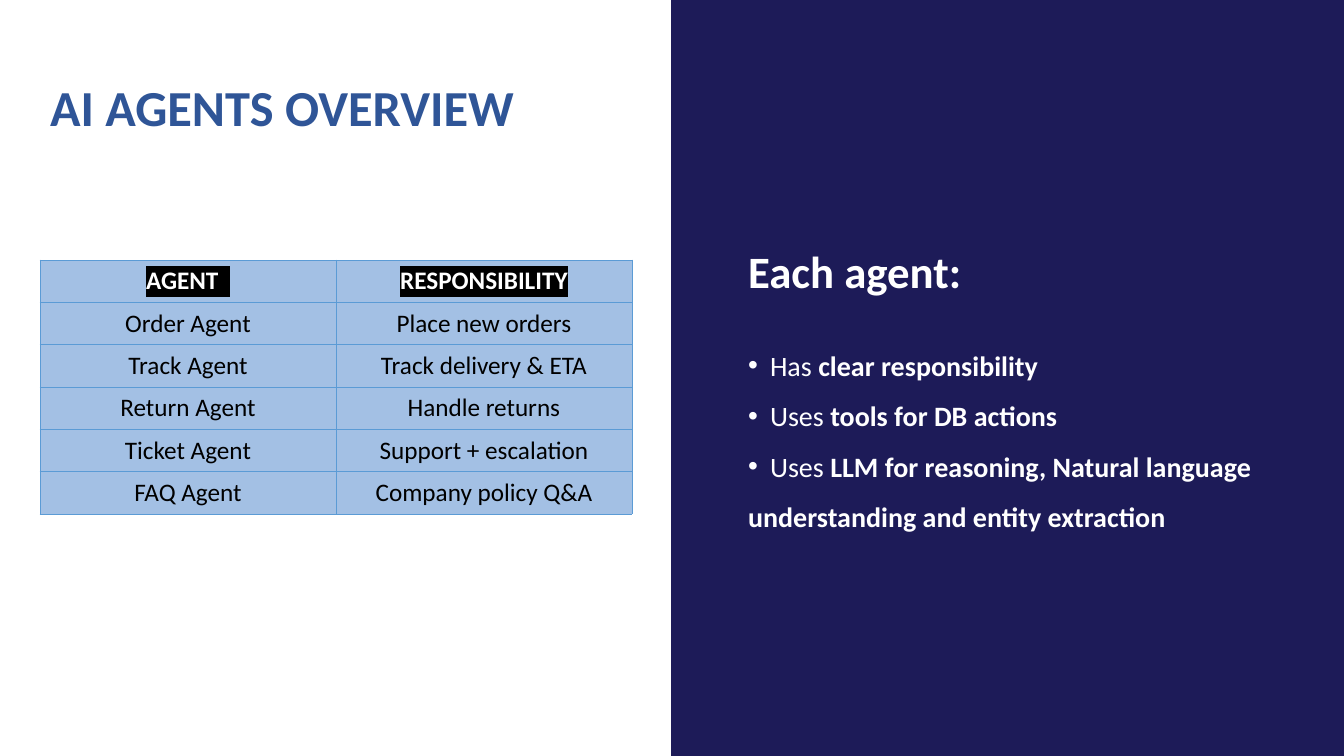
from dataclasses import dataclass

from pptx import Presentation
from pptx.dml.color import RGBColor
from pptx.enum.shapes import MSO_SHAPE
from pptx.enum.text import MSO_ANCHOR, MSO_AUTO_SIZE, PP_ALIGN
from pptx.oxml import parse_xml
from pptx.oxml.ns import nsdecls
from pptx.util import Emu, Pt


@dataclass(frozen=True)
class Theme:
    """Colours, font and type sizes of the slide."""

    font: str = "Calibri"
    title: str = "2F5597"
    panel: str = "1D1B58"
    cell: str = "A3C0E4"
    border: str = "5B9BD5"
    light: str = "FFFFFF"
    dark: str = "000000"
    title_size: int = 36
    heading_size: int = 32
    bullet_size: int = 20
    table_size: int = 18


THEME = Theme()
SLIDE_WIDTH, SLIDE_HEIGHT = 1344, 756
BULLET_GAP = 22

AGENTS = [
    ("AGENT  ", "RESPONSIBILITY"),
    ("Order Agent", "Place new orders"),
    ("Track Agent", "Track delivery & ETA"),
    ("Return Agent", "Handle returns"),
    ("Ticket Agent", "Support + escalation"),
    ("FAQ Agent", "Company policy Q&A"),
]
TRAITS = [
    ("Has ", "clear responsibility"),
    ("Uses ", "tools for DB actions"),
    ("Uses ", "LLM for reasoning, Natural language understanding and entity extraction"),
]


def px(length):
    """Turn a length in px into EMU."""
    return Emu(round(length * 914400 / 100.8))


def place(shape, left, top, width, height):
    """Move and size a shape in px."""
    shape.left, shape.top = px(left), px(top)
    shape.width, shape.height = px(width), px(height)


def style_run(run, size, color, bold=False):
    """Set the font of one run."""
    run.font.name = THEME.font
    run.font.size = Pt(size)
    run.font.bold = bold
    run.font.color.rgb = RGBColor.from_string(color)


def highlight(run, color):
    """Put a colour behind the text of a run."""
    mark = parse_xml(
        f'<a:highlight {nsdecls("a")}><a:srgbClr val="{color}"/></a:highlight>'
    )
    run.font.fill._xPr.find("{*}solidFill").addnext(mark)


def add_panel(slide, left, top, width, height):
    """Add the plain panel behind everything else."""
    panel = slide.shapes.add_shape(
        MSO_SHAPE.RECTANGLE, px(left), px(top), px(width), px(height)
    )
    panel.shadow.inherit = False
    panel.fill.solid()
    panel.fill.fore_color.rgb = RGBColor.from_string(THEME.panel)
    panel.line.color.rgb = RGBColor.from_string(THEME.panel)
    panel.line.width = Pt(1)
    slide.shapes._spTree.insert(2, panel._element)


def fill_title(title, text):
    """Write the slide title."""
    place(title, 40, 68, 1124, 84)
    frame = title.text_frame
    frame.text = text
    frame.auto_size = MSO_AUTO_SIZE.NONE
    frame.vertical_anchor = MSO_ANCHOR.MIDDLE
    paragraph = frame.paragraphs[0]
    paragraph.alignment = PP_ALIGN.LEFT
    paragraph.line_spacing = 0.9
    style_run(paragraph.runs[0], THEME.title_size, THEME.title, True)


def set_bullet(paragraph, bullet):
    """Set a flush bullet, or none, with a tab stop after it."""
    properties = paragraph._p.get_or_add_pPr()
    properties.set("marL", "0")
    properties.set("indent", "0")
    mark = f'<a:buChar {nsdecls("a")} char="{bullet}"/>' if bullet else f'<a:buNone {nsdecls("a")}/>'
    properties.append(parse_xml(mark))
    if bullet:
        properties.append(parse_xml(
            f'<a:tabLst {nsdecls("a")}><a:tab pos="{px(BULLET_GAP)}" algn="l"/></a:tabLst>'
        ))


def add_trait(frame, lead, strong):
    """Add one bullet with a plain lead and a bold ending."""
    paragraph = frame.add_paragraph()
    set_bullet(paragraph, "•")
    paragraph.space_before = Pt(0)
    paragraph.line_spacing = 1.5
    for text, bold in (("\t" + lead, False), (strong, True)):
        run = paragraph.add_run()
        run.text = text
        style_run(run, THEME.bullet_size, THEME.light, bold)


def fill_body(body, heading, traits):
    """Write the heading and the bullets on the panel."""
    place(body, 738, 239, 606, 296)
    frame = body.text_frame
    frame.text = heading
    frame.auto_size = MSO_AUTO_SIZE.NONE
    paragraph = frame.paragraphs[0]
    set_bullet(paragraph, None)
    paragraph.space_before = Pt(0)
    paragraph.space_after = Pt(24)
    style_run(paragraph.runs[0], THEME.heading_size, THEME.light, True)
    for lead, strong in traits:
        add_trait(frame, lead, strong)


def style_cell(cell, text, is_header):
    """Write one table cell with its fill and borders."""
    cell.text = text
    cell.vertical_anchor = MSO_ANCHOR.MIDDLE
    cell.fill.solid()
    cell.fill.fore_color.rgb = RGBColor.from_string(THEME.cell)
    properties = cell._tc.get_or_add_tcPr()
    for index, side in enumerate("LRTB"):
        properties.insert(index, parse_xml(
            f'<a:ln{side} {nsdecls("a")} w="{Pt(0.5)}"><a:solidFill>'
            f'<a:srgbClr val="{THEME.border}"/></a:solidFill></a:ln{side}>'
        ))
    paragraph = cell.text_frame.paragraphs[0]
    paragraph.alignment = PP_ALIGN.CENTER
    run = paragraph.runs[0]
    style_run(run, THEME.table_size, THEME.light if is_header else THEME.dark, is_header)
    if is_header:
        highlight(run, THEME.dark)


def add_agent_table(slide, rows):
    """Add the table of agents."""
    table = slide.shapes.add_table(
        len(rows), len(rows[0]), px(40), px(260), px(592), px(254)
    ).table
    for row, texts in enumerate(rows):
        for column, text in enumerate(texts):
            style_cell(table.cell(row, column), text, row == 0)


def main():
    """Build the slide and save it."""
    presentation = Presentation()
    presentation.slide_width = px(SLIDE_WIDTH)
    presentation.slide_height = px(SLIDE_HEIGHT)
    slide = presentation.slides.add_slide(presentation.slide_layouts[1])
    add_panel(slide, SLIDE_WIDTH // 2, 0, SLIDE_WIDTH // 2, SLIDE_HEIGHT)
    fill_title(slide.shapes.title, "AI AGENTS OVERVIEW")
    add_agent_table(slide, AGENTS)
    fill_body(slide.placeholders[1], "Each agent:", TRAITS)
    presentation.save("out.pptx")


if __name__ == "__main__":
    main()
